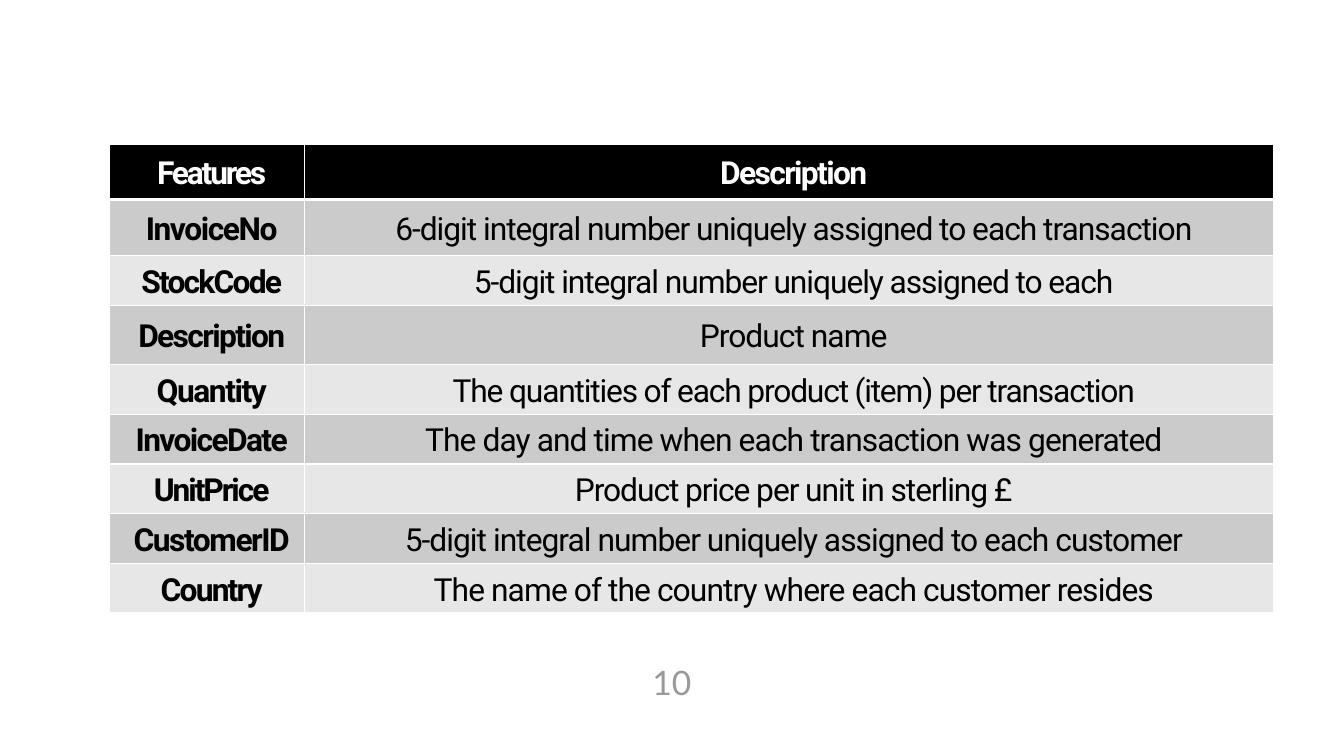
from lxml.etree import SubElement
from pptx import Presentation
from pptx.dml.color import RGBColor
from pptx.enum.text import MSO_ANCHOR, PP_ALIGN
from pptx.oxml.ns import qn
from pptx.util import Inches, Pt

COLORS = {
    "white": "FFFFFF",
    "black": "000000",
    "dark_band": "CBCBCB",
    "light_band": "E7E7E7",
    "page_number": "999999",
}
WIDTH = Inches(10)
HEIGHT = WIDTH * 9 // 16
COLUMN_UNITS = [1.45, 7.21]
ROW_UNITS = [0.41, 0.42, 0.37, 0.44] + [0.37] * 5
ROWS = [
    ("Features", -1.2, "Description", -0.9),
    ("InvoiceNo", -0.8, "6-digit integral number uniquely assigned to each transaction", -0.56),
    ("StockCode", -1, "5-digit integral number uniquely assigned to each", -0.6),
    ("Description", -0.9, "Product name", -0.54),
    ("Quantity", -0.8, "The quantities of each product (item) per transaction", -0.66),
    ("InvoiceDate", -0.9, "The day and time when each transaction was generated", -0.52),
    ("UnitPrice", -1.1, "Product price per unit in sterling £", -0.6),
    ("CustomerID", -0.8, "5-digit integral number uniquely assigned to each customer", -0.53),
    ("Country", -1, "The name of the country where each customer resides", -0.5),
]


def rgb(name):
    return RGBColor.from_string(COLORS[name])


def write(tf, text, font="Roboto", size=17, color="black", bold=False, spacing=0, indent=0):
    p = tf.paragraphs[0]
    p.alignment = PP_ALIGN.CENTER
    if indent:
        pPr = p._p.get_or_add_pPr()
        pPr.set("marL", str(Inches(indent)))
        pPr.set("indent", "0")
    r = p.add_run()
    r.text = text
    r.font.name = font
    r.font.size = Pt(size)
    r.font.bold = bold
    r.font.color.rgb = rgb(color)
    if spacing:
        r._r.get_or_add_rPr().set("spc", str(round(spacing * 100)))


def set_borders(cell, top=0.75, bottom=0.75):
    tcPr = cell._tc.get_or_add_tcPr()
    for side, width in (("L", 0.75), ("R", 0.75), ("T", top), ("B", bottom)):
        ln = SubElement(tcPr, qn(f"a:ln{side}"), w=str(Pt(width)))
        fill = SubElement(ln, qn("a:solidFill"))
        SubElement(fill, qn("a:srgbClr"), val=COLORS["white"])


def style_cell(cell, row):
    set_borders(cell, 2.25 if row == 1 else 0.75, 2.25 if row == 0 else 0.75)
    cell.fill.solid()
    band = "dark_band" if row % 2 else "light_band"
    cell.fill.fore_color.rgb = rgb("black" if row == 0 else band)
    cell.margin_left = cell.margin_right = cell.margin_bottom = 0
    cell.margin_top = Inches(0.03)
    cell.vertical_anchor = MSO_ANCHOR.MIDDLE


def add_feature_table(s, x, y, w, h):
    table = s.shapes.add_table(len(ROWS), len(COLUMN_UNITS), x, y, w, h).table
    for column, units in zip(table.columns, COLUMN_UNITS):
        column.width = round(w * units / sum(COLUMN_UNITS))
    for row, units in zip(table.rows, ROW_UNITS):
        row.height = round(h * units / sum(ROW_UNITS))
    for i, (feature, feature_spacing, description, description_spacing) in enumerate(ROWS):
        entries = ((feature, feature_spacing), (description, description_spacing))
        for j, (text, spacing) in enumerate(entries):
            cell = table.cell(i, j)
            style_cell(cell, i)
            write(cell.text_frame, text, color="black" if i else "white",
                  bold=i == 0 or j == 0, spacing=spacing, indent=0.07)


def add_page_number(s, x, y, w, h):
    tf = s.shapes.add_textbox(x, y, w, h).text_frame
    tf.word_wrap = True
    tf.vertical_anchor = MSO_ANCHOR.MIDDLE
    tf.margin_left = tf.margin_right = tf.margin_top = tf.margin_bottom = Inches(0.1)
    write(tf, "10", font="Lato", size=18, color="page_number")


def percent(x, y, w, h):
    sizes = (WIDTH, HEIGHT, WIDTH, HEIGHT)
    return [round(size * part / 100) for size, part in zip(sizes, (x, y, w, h))]


def main():
    prs = Presentation()
    prs.slide_width, prs.slide_height = WIDTH, HEIGHT
    s = prs.slides.add_slide(prs.slide_layouts[6])
    s.background.fill.solid()
    s.background.fill.fore_color.rgb = rgb("white")
    add_page_number(s, *percent(47, 86.4, 6, 7.65))
    add_feature_table(s, *percent(8.15, 19.1, 86.6, 62))
    prs.save("out.pptx")


if __name__ == "__main__":
    main()
